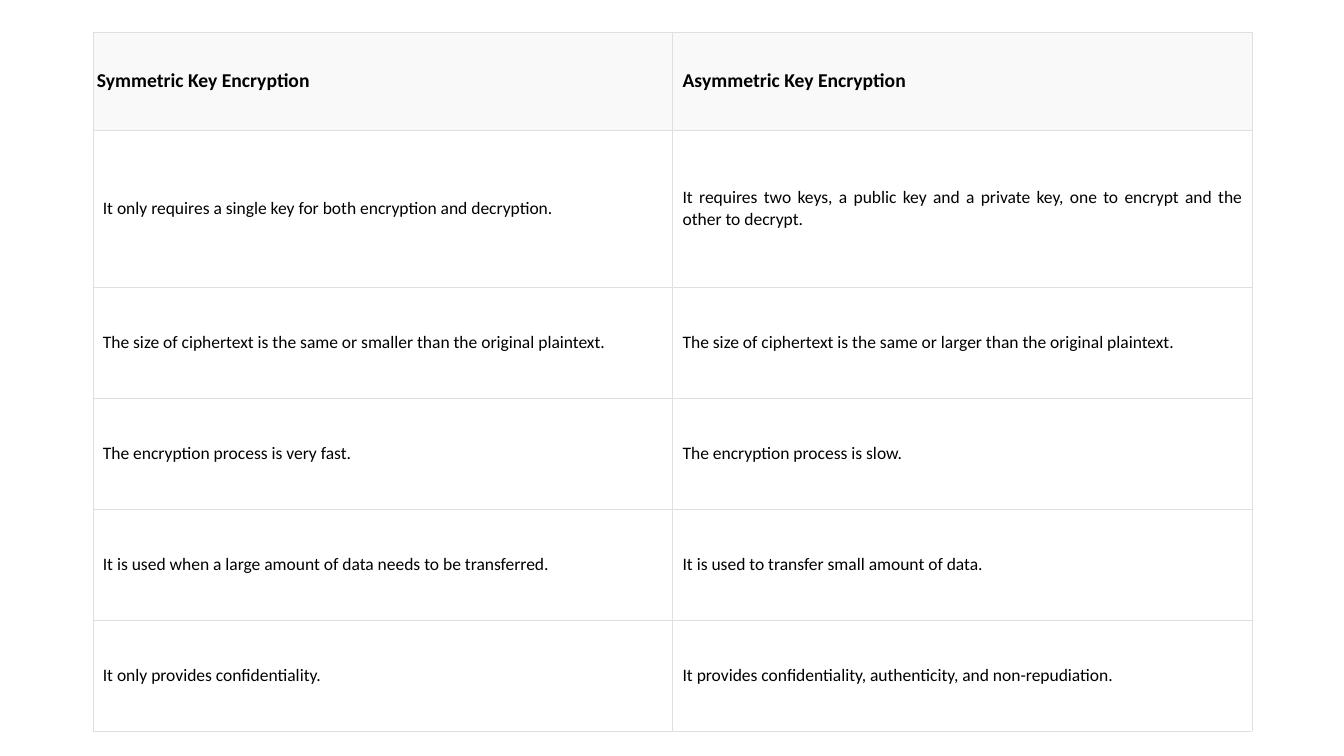
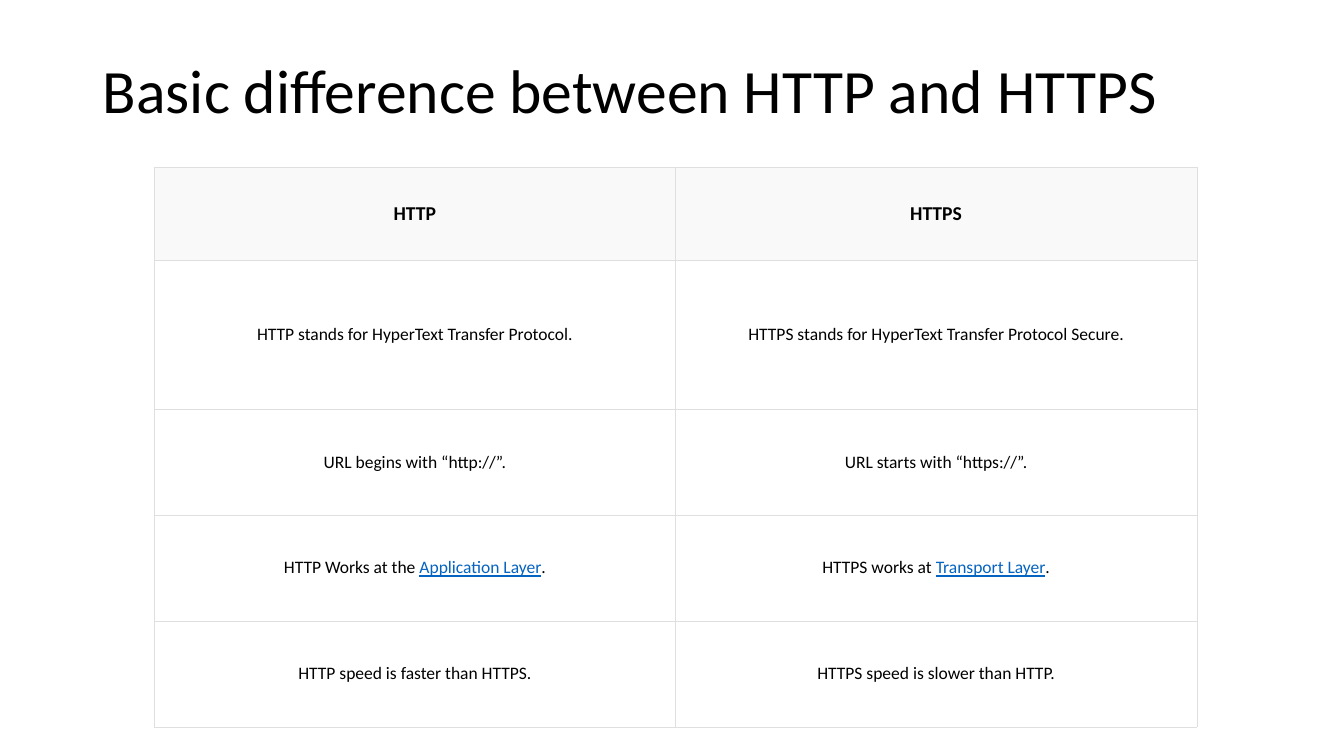
from lxml.etree import SubElement
from pptx import Presentation
from pptx.dml.color import RGBColor
from pptx.enum.text import MSO_ANCHOR as ANCHOR, PP_ALIGN as ALIGN
from pptx.oxml.ns import qn
from pptx.util import Pt

# Content: a tuple is a cell of several runs, the second one marked
KEYS = [
    ("Symmetric Key Encryption", "Asymmetric Key Encryption"),
    ("It only requires a single key for both encryption and decryption.",
     "It requires two keys, a public key and a private key, one to encrypt and the other to decrypt."),
    ("The size of ciphertext is the same or smaller than the original plaintext.",
     "The size of ciphertext is the same or larger than the original plaintext."),
    ("The encryption process is very fast.", "The encryption process is slow."),
    ("It is used when a large amount of data needs to be transferred.",
     "It is used to transfer small amount of data."),
    ("It only provides confidentiality.",
     "It provides confidentiality, authenticity, and non-repudiation."),
]
PROTOCOLS_TITLE = "Basic difference between HTTP and HTTPS"
PROTOCOLS = [
    ("HTTP", "HTTPS"),
    ("HTTP stands for HyperText Transfer Protocol.",
     "HTTPS stands for HyperText Transfer Protocol Secure."),
    ("URL begins with “http://”.", "URL starts with “https://”."),
    (("HTTP Works at the ", "Application Layer", "."),
     ("HTTPS works at ", "Transport Layer", ".")),
    ("HTTP speed is faster than HTTPS.", "HTTPS speed is slower than HTTP."),
]

# Shared style
FONT = "Calibri"
BLACK, WHITE, HEAD_FILL, BORDER, MARKED = "000000", "FFFFFF", "F9F9F9", "DFDFDF", "0563C1"
TITLE_BOX = (92, 40, 1150, 106)


def px(n):
    """100 px to the inch."""
    return n * 9144


def rgb(code):
    return RGBColor.from_string(code)


def style(font, size, color=BLACK, bold=False):
    font.name, font.size, font.bold = FONT, Pt(size), bold
    font.color.rgb = rgb(color)


def add_borders(cell):
    tc_pr = cell._tc.get_or_add_tcPr()
    for side in ("lnL", "lnR", "lnT", "lnB"):
        ln = SubElement(tc_pr, qn(f"a:{side}"), w=str(Pt(0.23)))
        fill = SubElement(ln, qn("a:solidFill"))
        SubElement(fill, qn("a:srgbClr"), val=BORDER)


def fill_cell(cell, content, align, is_head, is_first):
    add_borders(cell)
    cell.fill.solid()
    cell.fill.fore_color.rgb = rgb(HEAD_FILL if is_head else WHITE)
    cell.vertical_anchor = ANCHOR.MIDDLE
    cell.margin_left = cell.margin_right = px(4 if is_head and is_first else 10)
    cell.margin_top = cell.margin_bottom = px(10 if is_head else 15)
    p = cell.text_frame.paragraphs[0]
    p.alignment = align
    parts = (content,) if isinstance(content, str) else content
    for i, part in enumerate(parts):
        r = p.add_run()
        r.text = part
        marked = i == 1
        style(r.font, 14 if is_head else 12.5, MARKED if marked else BLACK, is_head)
        r.font.underline = marked


def add_comparison(s, rows, left, top, col_w, heights, align):
    """Two equal columns; heights are those of the head, first and other rows."""
    head_h, first_h, row_h = heights
    row_heights = [head_h, first_h] + [row_h] * (len(rows) - 2)
    table = s.shapes.add_table(len(rows), 2, px(left), px(top),
                               px(2 * col_w), px(sum(row_heights))).table
    table.horz_banding = False
    for col in table.columns:
        col.width = px(col_w)
    for r, (row, height) in enumerate(zip(rows, row_heights)):
        table.rows[r].height = px(height)
        for c, content in enumerate(row):
            fill_cell(table.cell(r, c), content, align, r == 0, c == 0)


def add_title(s, text):
    sp = s.shapes.title
    sp.left, sp.top, sp.width, sp.height = map(px, TITLE_BOX)
    tf = sp.text_frame
    tf.text = text
    tf.vertical_anchor = ANCHOR.MIDDLE
    p = tf.paragraphs[0]
    p.alignment, p.line_spacing = ALIGN.LEFT, 0.9
    style(p.runs[0].font, 44)


def main():
    prs = Presentation()
    prs.slide_width, prs.slide_height = px(1333), px(750)
    title_only, blank = prs.slide_layouts[5], prs.slide_layouts[6]

    # Symmetric and asymmetric keys
    s = prs.slides.add_slide(blank)
    add_comparison(s, KEYS, 92, 32, 575, (97, 156, 110), ALIGN.JUSTIFY)

    # HTTP and HTTPS
    s = prs.slides.add_slide(title_only)
    add_title(s, PROTOCOLS_TITLE)
    add_comparison(s, PROTOCOLS, 153, 166, 517, (92, 148, 105), ALIGN.CENTER)

    prs.save("out.pptx")


if __name__ == "__main__":
    main()
